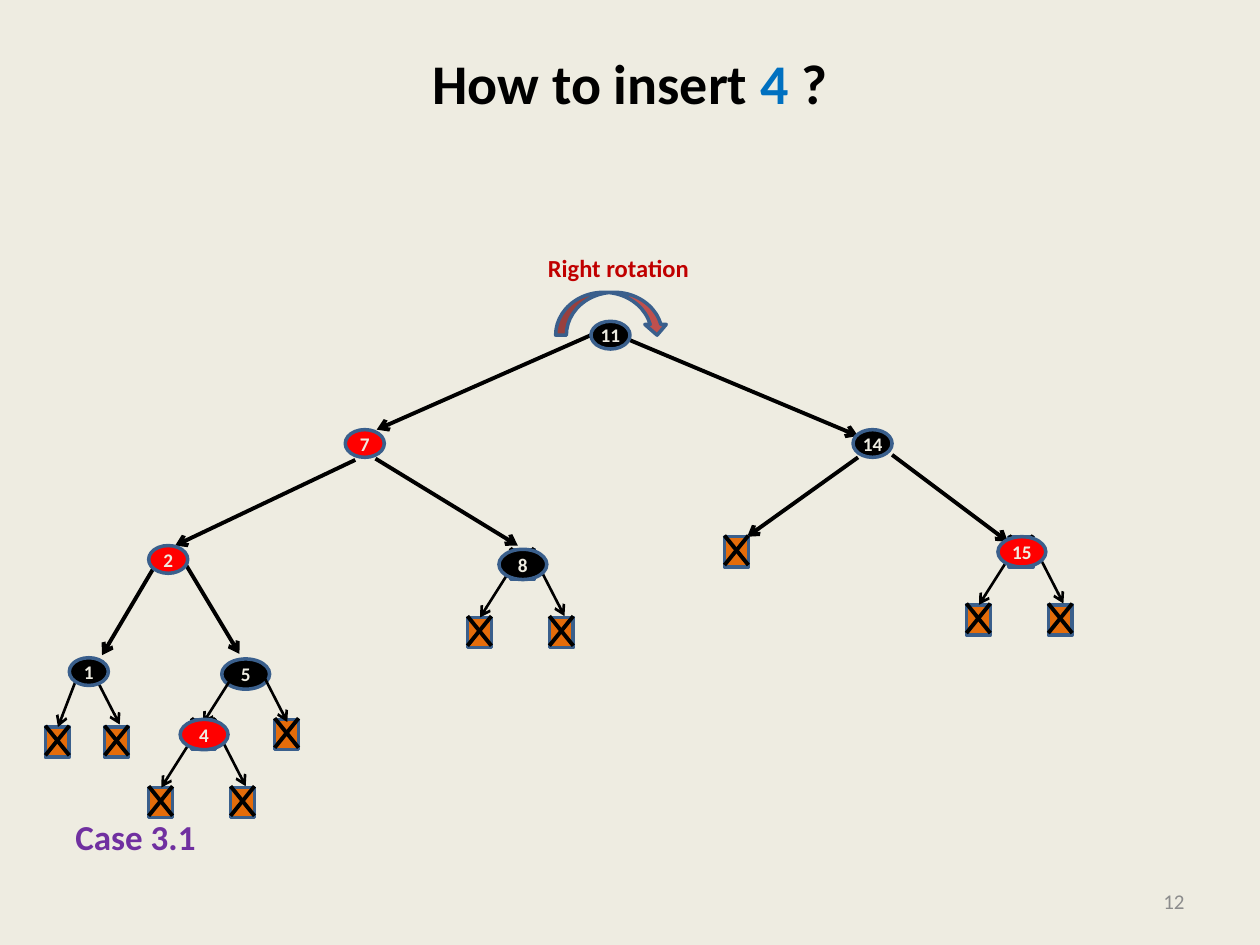
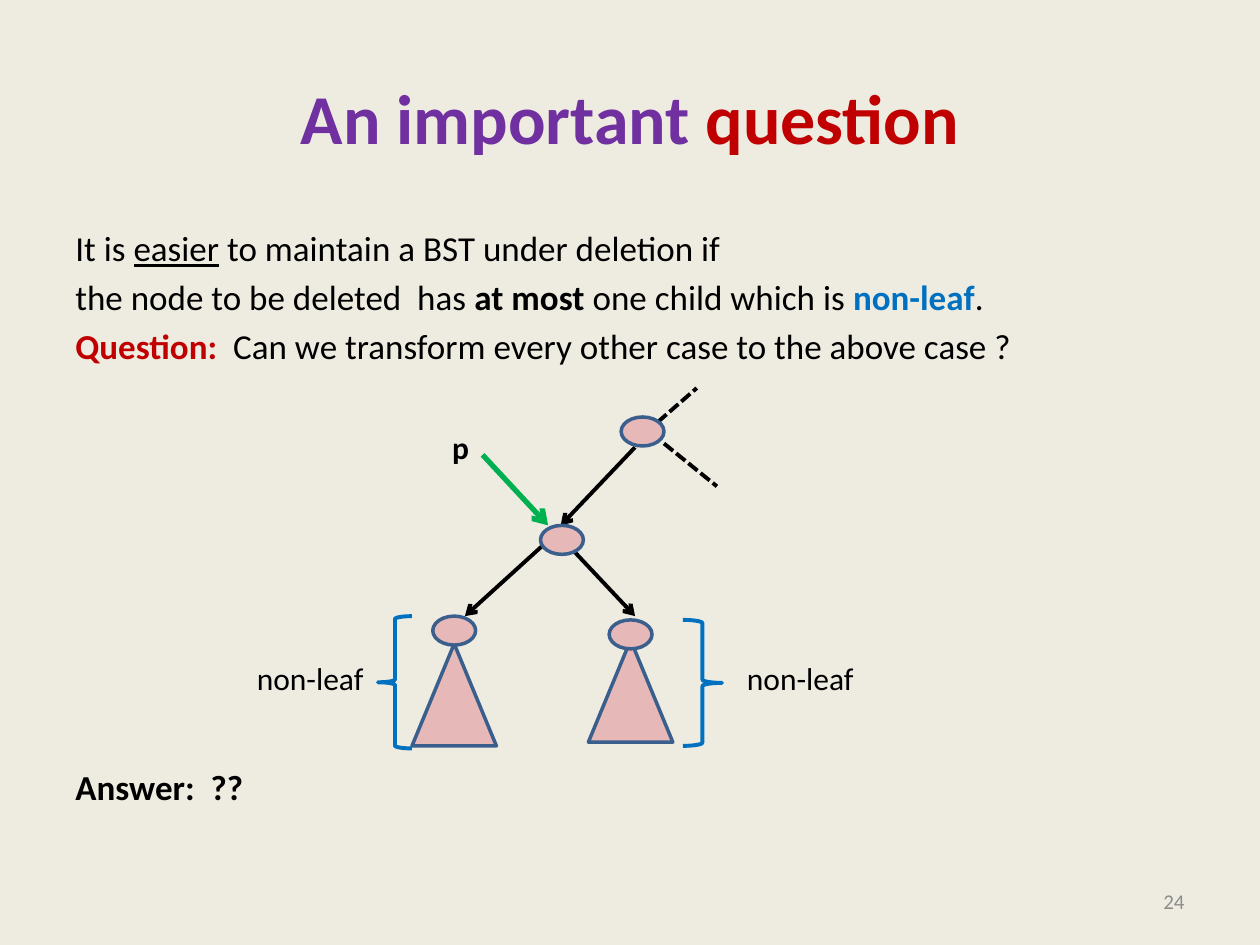
import dataclasses

import pptx
import pptx.dml.color
import pptx.enum.dml
import pptx.enum.shapes
import pptx.enum.text
import pptx.oxml.ns
import pptx.util
from lxml import etree

SHAPE = pptx.enum.shapes.MSO_SHAPE
ALIGN = pptx.enum.text.PP_ALIGN
ANCHOR = pptx.enum.text.MSO_ANCHOR


@dataclasses.dataclass(frozen=True)
class Theme:
    """Colours, font and type sizes shared by the slides."""
    font: str = "Calibri"
    paper: str = "EEECE1"
    ink: str = "000000"
    muted: str = "8C8C8C"
    blue: str = "0070C0"
    purple: str = "7030A0"
    dark_red: str = "C00000"
    green: str = "00B050"
    red_node: str = "FF0000"
    pink: str = "E6B9B8"
    leaf: str = "E46C0A"
    rotation: str = "C0504D"
    outline: str = "3A5F8C"
    title: int = 40
    small_title: int = 32
    body: int = 20
    label: int = 18
    caption: int = 14
    footer: int = 12
    node: int = 11


THEME = Theme()
CELL = pptx.util.Inches(0.1)   # the slide is a grid of 100 columns by 75 rows
COLUMNS, ROWS = 100, 75
SMALL_NODE = (3.1, 2.2)
LARGE_NODE = (3.8, 2.4)
LEAF = (1.9, 2.4)
PINK_NODE = (3.4, 2.3)
TRIANGLE = (6.7, 8.1)


def grid(*cells):
    """Turn grid cells into slide lengths."""
    return [round(cell * CELL) for cell in cells]


def rgb(color):
    """Return the colour object for a hex string."""
    return pptx.dml.color.RGBColor.from_string(color)


def add_text(paragraph, text, size=THEME.body, color=THEME.ink, bold=False,
             underline=False):
    """Append one formatted run to a paragraph."""
    run = paragraph.add_run()
    run.text = text
    font = run.font
    font.name, font.size = THEME.font, pptx.util.Pt(size)
    font.bold, font.underline = bold, underline
    font.color.rgb = rgb(color)


class SlideBuilder:
    """Draws elements on the current slide in the shared style."""

    def __init__(self):
        """Start an empty presentation of the grid's size."""
        self.presentation = pptx.Presentation()
        self.presentation.slide_width, self.presentation.slide_height = grid(COLUMNS, ROWS)
        self.slide = None

    def new_slide(self, number):
        """Add a slide with its background and page number."""
        self.slide = self.presentation.slides.add_slide(self.presentation.slide_layouts[6])
        fill = self.slide.background.fill
        fill.solid()
        fill.fore_color.rgb = rgb(THEME.paper)
        self.text((71.7, 69.5, 23.3, 4), [[(str(number), {})]], align=ALIGN.RIGHT,
                  anchor=ANCHOR.MIDDLE, size=THEME.footer, color=THEME.muted)

    def text(self, box, paragraphs, align=ALIGN.LEFT, anchor=ANCHOR.TOP,
             wrap=True, gap=4, **style):
        """Add a text box; each paragraph is a list of (text, format) runs."""
        frame = self.slide.shapes.add_textbox(*grid(*box)).text_frame
        frame.word_wrap, frame.vertical_anchor = wrap, anchor
        for index, runs in enumerate(paragraphs):
            paragraph = frame.paragraphs[0] if index == 0 else frame.add_paragraph()
            paragraph.alignment = align
            if index:
                paragraph.space_before = pptx.util.Pt(gap)
            for words, changes in runs:
                add_text(paragraph, words, **{**style, **changes})
        return frame

    def title(self, runs, size, lift=0):
        """Add the bold centred title, its text kept clear of the lowest rows."""
        frame = self.text((5, 3, 90, 12.5), [runs], align=ALIGN.CENTER,
                          anchor=ANCHOR.MIDDLE, size=size, bold=True)
        frame.margin_bottom = grid(0.5 + lift)[0]

    def label(self, left, top, width, text, **style):
        """Add a one-line label that does not wrap."""
        self.text((left, top, width, 4), [[(text, {})]], wrap=False, **style)

    def shape(self, kind, left, top, size, fill=None, line=THEME.outline, weight=2):
        """Add a flat preset shape."""
        shape = self.slide.shapes.add_shape(kind, *grid(left, top, *size))
        shape.shadow.inherit = False
        if fill:
            shape.fill.solid()
            shape.fill.fore_color.rgb = rgb(fill)
        else:
            shape.fill.background()
        shape.line.color.rgb = rgb(line)
        shape.line.width = pptx.util.Pt(weight)
        return shape

    def line(self, start, end, color=THEME.ink, weight=2.25, arrow=False, dashed=False):
        """Add a straight line, with an open arrowhead if asked."""
        connector = self.slide.shapes.add_connector(
            pptx.enum.shapes.MSO_CONNECTOR.STRAIGHT, *grid(*start, *end))
        connector.line.color.rgb = rgb(color)
        connector.line.width = pptx.util.Pt(weight)
        if dashed:
            connector.line.dash_style = pptx.enum.dml.MSO_LINE.SQUARE_DOT
        if arrow:
            etree.SubElement(connector.line._get_or_add_ln(),
                             pptx.oxml.ns.qn("a:tailEnd"), type="arrow")
        etree.SubElement(connector._element.spPr, pptx.oxml.ns.qn("a:effectLst"))

    def arrow(self, start, end, **style):
        """Add a straight arrow."""
        self.line(start, end, arrow=True, **style)

    def node(self, key, left, top, color, size=SMALL_NODE):
        """Add a tree node with its key."""
        frame = self.shape(SHAPE.OVAL, left, top, size, color).text_frame
        frame.margin_left = frame.margin_right = frame.margin_top = frame.margin_bottom = 0
        frame.word_wrap, frame.vertical_anchor = False, ANCHOR.MIDDLE
        frame.paragraphs[0].alignment = ALIGN.CENTER
        add_text(frame.paragraphs[0], key, size=THEME.node, color=THEME.paper, bold=True)

    def leaf(self, left, top):
        """Add a crossed box for an empty leaf."""
        self.shape(SHAPE.RECTANGLE, left, top, LEAF, THEME.leaf)
        right, upper, lower = left + LEAF[0], top - 0.1, top + 2.25
        self.line((right, upper), (left, lower))
        self.line((left, upper), (right, lower))

    def fork(self, left, top):
        """Add the two thin arrows below a large node."""
        self.arrow((left + 0.6, top + 2.1), (left - 1.5, top + 5.4), weight=1.5)
        self.arrow((left + 3.3, top + 1.6), (left + 5.2, top + 5.3), weight=1.5)

    def parent_of_leaves(self, key, left, top, color):
        """Add a large node over the leaf it replaced, with two leaves below."""
        self.leaf(left + 0.9, top)
        for offset in (-2.5, 4):
            self.leaf(left + offset, top + 5.4)
        self.fork(left, top)
        self.node(key, left, top, color, LARGE_NODE)

    def subtree(self, left, top, drop):
        """Add a pink node on top of a triangle, a given drop below it."""
        self.shape(SHAPE.ISOSCELES_TRIANGLE, left, top + drop, TRIANGLE, THEME.pink)
        self.pink_node(left + (TRIANGLE[0] - PINK_NODE[0]) / 2, top)

    def pink_node(self, left, top):
        """Add a node without a key."""
        self.shape(SHAPE.OVAL, left, top, PINK_NODE, THEME.pink)


def insertion_slide(builder):
    """Build the red-black tree with the rotation at its root."""
    builder.new_slide(12)
    builder.title([("How to insert ", {}), ("4 ", {"color": THEME.blue}), ("?", {})],
                  THEME.small_title, lift=5.4)
    builder.text((5, 64.2, 90, 4.4), [[("Case 3.1", {})]], color=THEME.purple, bold=True)

    edges = [
        ((46.9, 26.6), (29.9, 34.1)), ((50, 27), (68.1, 34.6)),       # 11
        ((28.2, 36.5), (13.9, 43.3)), ((29.8, 36.4), (41.1, 43.3)),   # 7
        ((12.3, 44.9), (8.1, 52)), ((14.5, 44.4), (19, 51.9)),        # 2
        ((68.1, 36.3), (59.3, 42.6)), ((70.8, 36.1), (80, 43)),       # 14
    ]
    for start, end in edges:
        builder.arrow(start, end)
    builder.shape(SHAPE.CURVED_DOWN_ARROW, 44.1, 23.2, (8.9, 3.4), THEME.rotation)
    builder.label(42.5, 19.6, 13.3, "Right rotation", size=THEME.caption,
                  color=THEME.dark_red, bold=True)
    inner_nodes = [
        ("11", 46.9, 25.5, THEME.ink), ("7", 27.4, 34.1, THEME.red_node),
        ("14", 67.7, 34.1, THEME.ink), ("2", 11.8, 43.3, THEME.red_node),
    ]
    for key, left, top, color in inner_nodes:
        builder.node(key, left, top, color)

    for left, top in [(57.5, 42.6), (21.8, 57.1), (3.6, 57.7), (8.3, 57.7)]:
        builder.leaf(left, top)
    builder.arrow((6.1, 53.8), (4.6, 57.7), weight=1.5)
    builder.arrow((7.6, 53.8), (9.5, 57.5), weight=1.5)
    builder.node("1", 5.5, 52.2, THEME.ink)
    builder.node("5", 17.6, 52.3, THEME.ink, LARGE_NODE)
    builder.fork(17.6, 52)
    builder.parent_of_leaves("4", 14.3, 57.1, THEME.red_node)
    builder.parent_of_leaves("8", 39.6, 43.6, THEME.ink)
    builder.parent_of_leaves("15", 79.2, 42.6, THEME.red_node)


def question_slide(builder):
    """Build the question on deleting a node with two non-leaf children."""
    builder.new_slide(24)
    red, strong = {"color": THEME.dark_red}, {"bold": True}
    builder.title([("An important ", {"color": THEME.purple}), ("question", red)],
                  THEME.title)
    frame = builder.text((5, 17.5, 90, 49.5), [
        [("It is ", {}), ("easier", {"underline": True}),
         (" to maintain a BST under deletion if ", {})],
        [("the node to be deleted  has ", {}), ("at most ", strong),
         ("one child which is ", {}), ("non-leaf", {"color": THEME.blue, **strong}),
         (". ", {})],
        [("Question:  ", {**red, **strong}),
         ("Can we transform every other case to the above case ?", {})],
        [("Answer:  ??", strong)],
    ])
    frame.paragraphs[-1].space_before = pptx.util.Pt(228)   # room for the tree

    builder.line((52.7, 35.2), (56.9, 38.6), dashed=True)
    builder.line((52.2, 33.5), (55.3, 30.8), dashed=True)
    for start, end in [((50.4, 35.5), (44.5, 41.7)), ((43.4, 43), (36.9, 48.9)),
                       ((45.6, 43.8), (50.4, 48.9))]:
        builder.arrow(start, end)
    builder.pink_node(49.3, 33.1)
    builder.pink_node(42.9, 41.7)
    builder.subtree(32.7, 48.9, drop=2.2)
    builder.subtree(46.7, 49.2, drop=1.6)
    builder.arrow((38.3, 36.1), (43.5, 41.7), color=THEME.green, weight=3)
    builder.label(34.9, 33.5, 3.4, "p", size=THEME.label, bold=True)

    brace = {"line": THEME.blue, "weight": 2.25}
    builder.shape(SHAPE.LEFT_BRACE, 30, 48.9, (2.7, 10.5), **brace)
    builder.shape(SHAPE.RIGHT_BRACE, 54.2, 49.2, (3.1, 10), **brace)
    for left in (19.4, 58.3):
        builder.label(left, 51.8, 10.6, "non-leaf", size=THEME.label)


def main():
    """Build both slides and save them."""
    builder = SlideBuilder()
    insertion_slide(builder)
    question_slide(builder)
    builder.presentation.save("out.pptx")


main()
